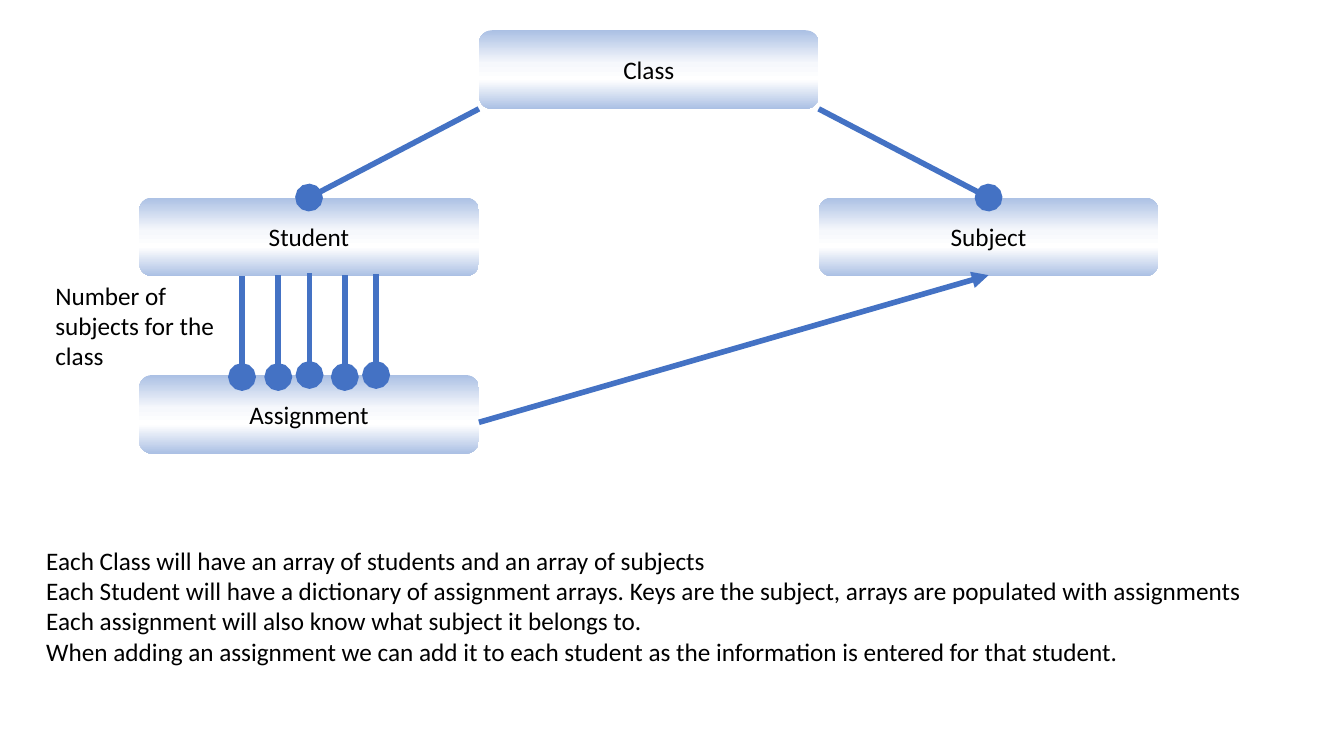
from dataclasses import dataclass

from pptx import Presentation
from pptx.dml.color import RGBColor as RGB
from pptx.enum.shapes import MSO_CONNECTOR as Conn, MSO_SHAPE as Form
from pptx.enum.text import MSO_ANCHOR as Anchor, MSO_AUTO_SIZE as Fit, PP_ALIGN as Align
from pptx.oxml.ns import qn
from pptx.util import Inches, Pt
from lxml.etree import SubElement as Sub


@dataclass(frozen=True)
class Theme:
    font: str = "Calibri"
    size: int = 18
    ink: str = "000000"
    line: str = "4472C4"
    width: int = 4
    # Gradient stops: percent, colour
    stops: tuple = ((0, "ABC0E4"), (42, "F6F8FC"), (63, "FFFFFF"), (100, "ABC0E4"))


THEME = Theme()
WIDE, HIGH = 3.37, 0.78


def write(frame, lines, align=Align.LEFT):
    frame.word_wrap = True
    for i, line in enumerate(lines):
        para = frame.paragraphs[0] if i == 0 else frame.add_paragraph()
        para.alignment = align
        run = para.add_run()
        run.text = line
        run.font.name = THEME.font
        run.font.size = Pt(THEME.size)
        run.font.color.rgb = RGB.from_string(THEME.ink)


def shade(shape):
    shape.fill.gradient()
    shape.fill.gradient_angle = 270
    # The public API offers two stops only, so the list is refilled
    stops = shape.element.spPr.find(qn("a:gradFill")).find(qn("a:gsLst"))
    for stop in list(stops):
        stops.remove(stop)
    for spot, color in THEME.stops:
        stop = Sub(stops, qn("a:gs"), pos=str(spot * 1000))
        Sub(stop, qn("a:srgbClr"), val=color)


def add_node(slide, name, left, top):
    node = slide.shapes.add_shape(
        Form.ROUNDED_RECTANGLE, Inches(left), Inches(top), Inches(WIDE), Inches(HIGH))
    node.shadow.inherit = False
    node.line.fill.background()
    shade(node)
    node.text_frame.vertical_anchor = Anchor.MIDDLE
    write(node.text_frame, [name], Align.CENTER)


def add_link(slide, start, end, tip="oval", size="lg"):
    link = slide.shapes.add_connector(
        Conn.STRAIGHT, *(Inches(v) for v in (*start, *end)))
    link.line.color.rgb = RGB.from_string(THEME.line)
    link.line.width = Pt(THEME.width)
    props = link.element.spPr
    Sub(props.find(qn("a:ln")), qn("a:tailEnd"), type=tip, w=size, len=size)
    Sub(props, qn("a:effectLst"))


def add_note(slide, lines, left, top, width, height):
    note = slide.shapes.add_textbox(
        Inches(left), Inches(top), Inches(width), Inches(height))
    write(note.text_frame, lines)
    note.text_frame.auto_size = Fit.SHAPE_TO_FIT_TEXT


def main():
    deck = Presentation()
    deck.slide_width, deck.slide_height = Inches(13.33), Inches(7.5)
    slide = deck.slides.add_slide(deck.slide_layouts[6])

    # Three columns of nodes, each one node wide
    left, mid, right = (1.38 + WIDE * i for i in range(3))
    for name, x, y in (("Class", mid, 0.3), ("Student", left, 1.96),
                       ("Subject", right, 1.96), ("Assignment", left, 3.72)):
        add_node(slide, name, x, y)

    # Class to its students and subjects, assignment to its subject
    add_link(slide, (mid, 1.08), (left + WIDE / 2, 1.96))
    add_link(slide, (right, 1.08), (right + WIDE / 2, 1.96))
    add_link(slide, (mid, 4.19), (right + WIDE / 2, 2.73), "triangle", "med")

    # Student to assignments, one link per subject
    for x, top, end in ((3.07, 2.71, 3.72), (3.42, 2.73, 3.74), (2.76, 2.73, 3.74),
                        (2.4, 2.74, 3.74), (3.73, 2.72, 3.72)):
        add_link(slide, (x, top), (x, end))

    # Notes
    add_note(slide, ["Number of subjects for the class"], 0.45, 2.73, 1.95, 1.01)
    add_note(slide, [
        "Each Class will have an array of students and an array of subjects",
        "Each Student will have a dictionary of assignment arrays. "
        "Keys are the subject, arrays are populated with assignments",
        "Each assignment will also know what subject it belongs to.",
        "When adding an assignment we can add it to each student "
        "as the information is entered for that student.",
    ], 0.36, 5.36, 12.82, 1.31)

    deck.save("out.pptx")


if __name__ == "__main__":
    main()
